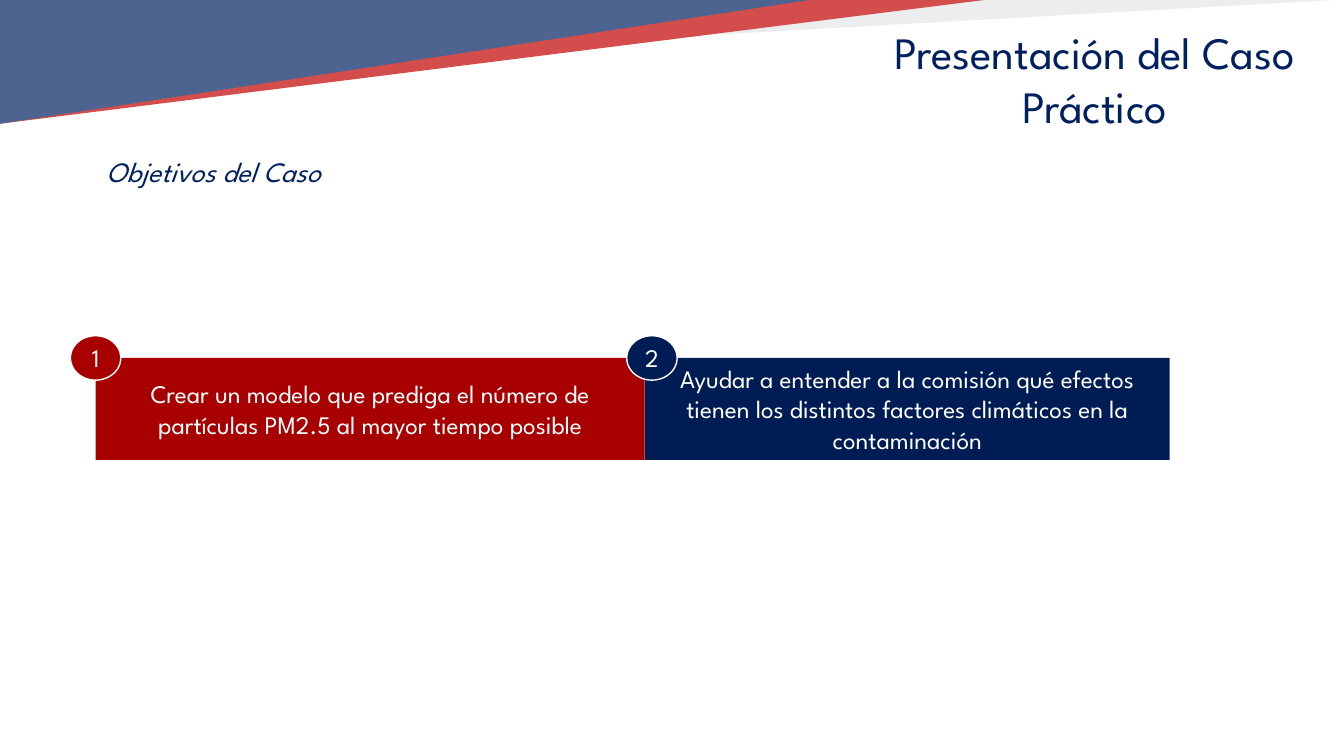
import dataclasses

import lxml.etree
import pptx
import pptx.dml.color
import pptx.enum.shapes
import pptx.enum.text
import pptx.oxml.ns
import pptx.util

Cm = pptx.util.Cm
Shapes = pptx.enum.shapes.MSO_SHAPE
Anchor = pptx.enum.text.MSO_ANCHOR
AutoSize = pptx.enum.text.MSO_AUTO_SIZE


@dataclasses.dataclass(frozen=True)
class Theme:
    """Colours, font and type sizes of the slide."""
    font: str = "League Spartan"
    navy: str = "002060"
    deep_navy: str = "001C54"
    red: str = "C00000"
    dark_red: str = "A80000"
    grey: str = "E6E6E6"
    white: str = "FFFFFF"
    title_size: int = 32
    subtitle_size: int = 20
    body_size: int = 18
    outline: int = 1
    veil_opacity: int = 30


THEME = Theme()


def rgb(colour):
    """Turn a hex string into a colour."""
    return pptx.dml.color.RGBColor.from_string(colour)


def apply_format(target, values):
    """Set each attribute of the target from a dict."""
    for name, value in values.items():
        setattr(target, name, value)


def add_filled_shape(slide, kind, box, colour, outline=None):
    """Add a flat shape with an optional outline."""
    shape = slide.shapes.add_shape(kind, *map(Cm, box))
    shape.shadow.inherit = False
    shape.fill.solid()
    shape.fill.fore_color.rgb = rgb(colour)
    if outline:
        shape.line.color.rgb = rgb(outline)
        shape.line.width = pptx.util.Pt(THEME.outline)
    else:
        shape.line.fill.background()
    return shape


def write_text(shape, text, size, colour, frame_format, italic=None):
    """Write one centred paragraph into a shape."""
    frame = shape.text_frame
    apply_format(frame, {"word_wrap": True, **frame_format})
    paragraph = frame.paragraphs[0]
    paragraph.alignment = pptx.enum.text.PP_ALIGN.CENTER
    run = paragraph.add_run()
    run.text = text
    apply_format(run.font, {"name": THEME.font, "size": pptx.util.Pt(size), "italic": italic})
    run.font.color.rgb = rgb(colour)


def add_banner(slide, box):
    """Layer three corner wedges under a translucent veil."""
    left, top, width, height = box
    wedges = [
        (33.66, 1.88, THEME.grey),
        (24.82, 3.12, THEME.red),
        (20.4, 3.12, THEME.navy),
    ]
    for wedge_width, wedge_height, colour in wedges:
        wedge = add_filled_shape(slide, Shapes.ISOSCELES_TRIANGLE,
                                 (left, top, wedge_width, wedge_height), colour)
        wedge.adjustments[0] = 0
        wedge._element.spPr.xfrm.set("flipV", "1")
    veil = add_filled_shape(slide, Shapes.RECTANGLE, (left, top, width, height), THEME.white)
    colour_element = veil._element.spPr.find(".//" + pptx.oxml.ns.qn("a:srgbClr"))
    alpha = lxml.etree.SubElement(colour_element, pptx.oxml.ns.qn("a:alpha"))
    alpha.set("val", str(THEME.veil_opacity * 1000))


def add_heading(slide, box, text, size, italic=None):
    """Add a centred navy heading."""
    heading = slide.shapes.add_textbox(*map(Cm, box))
    write_text(heading, text, size, THEME.navy,
               {"auto_size": AutoSize.SHAPE_TO_FIT_TEXT}, italic)


def add_objectives(slide, box):
    """Place objective cards side by side with numbered badges on their corners."""
    left, top, height = box
    badge_width, badge_height = 1.27, 1.12
    objectives = [
        (13.84, 0, THEME.dark_red,
         "Crear un modelo que prediga el número de partículas PM2.5 al mayor tiempo posible"),
        (13.23, 0.18, THEME.deep_navy,
         "Ayudar a entender a la comisión qué efectos tienen los distintos factores "
         "climáticos en la contaminación"),
    ]
    badges = []
    for number, (width, badge_shift, colour, text) in enumerate(objectives, 1):
        card = add_filled_shape(slide, Shapes.RECTANGLE, (left, top, width, height), colour)
        write_text(card, text, THEME.body_size, THEME.white,
                   {"vertical_anchor": Anchor.MIDDLE, "auto_size": AutoSize.SHAPE_TO_FIT_TEXT})
        badges.append((number, left + badge_shift, colour))
        left += width
    for number, centre, colour in badges:
        badge_box = (centre - badge_width / 2, top - badge_height / 2, badge_width, badge_height)
        badge = add_filled_shape(slide, Shapes.OVAL, badge_box, colour, THEME.white)
        write_text(badge, str(number), THEME.body_size, THEME.white,
                   {"vertical_anchor": Anchor.MIDDLE})


def main():
    """Build and save the slide."""
    presentation = pptx.Presentation()
    apply_format(presentation, {"slide_width": Cm(33.87), "slide_height": Cm(19.05)})
    slide = presentation.slides.add_slide(presentation.slide_layouts[6])
    add_banner(slide, (0, 0, 33.87, 3.68))
    add_heading(slide, (21.31, 0.51, 12.55, 3), "Presentación del Caso Práctico", THEME.title_size)
    add_heading(slide, (0, 3.78, 10.77, 1.12), "Objetivos del Caso", THEME.subtitle_size, True)
    add_objectives(slide, (2.41, 9.02, 2.57))
    presentation.save("out.pptx")


if __name__ == "__main__":
    main()
